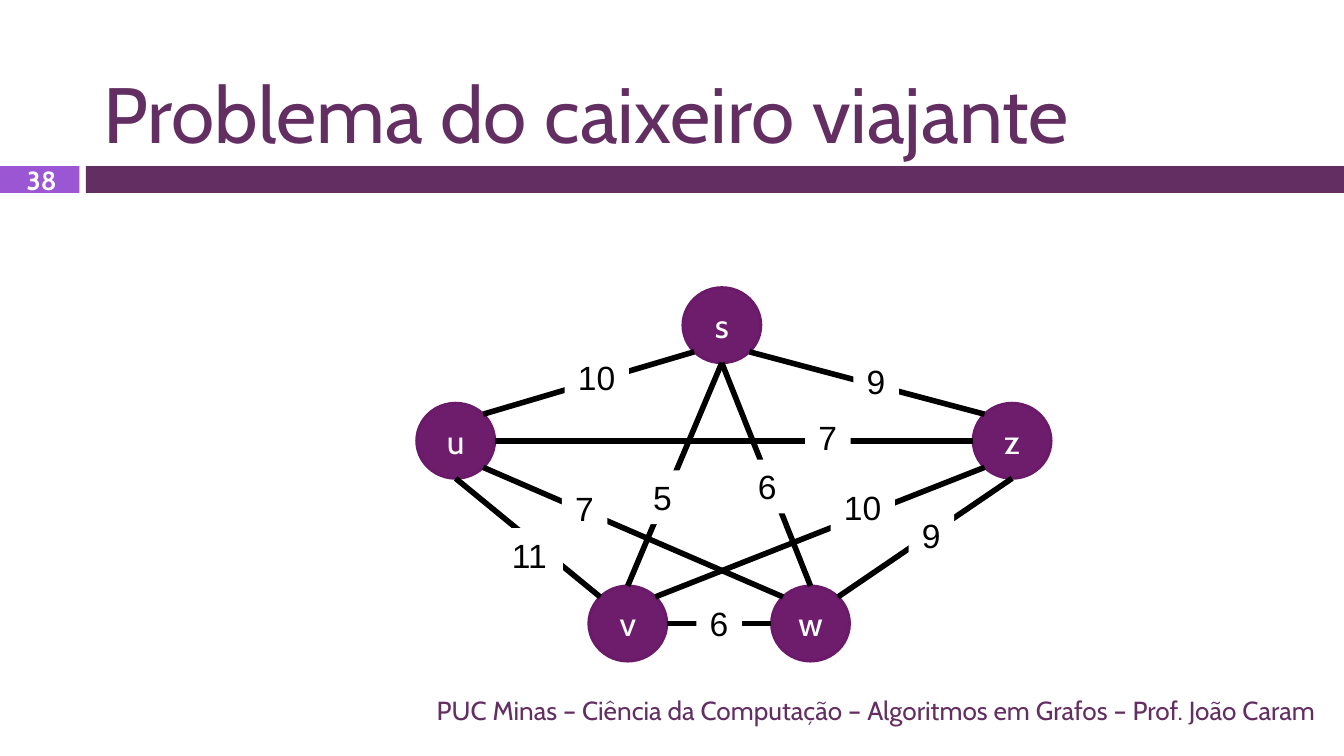
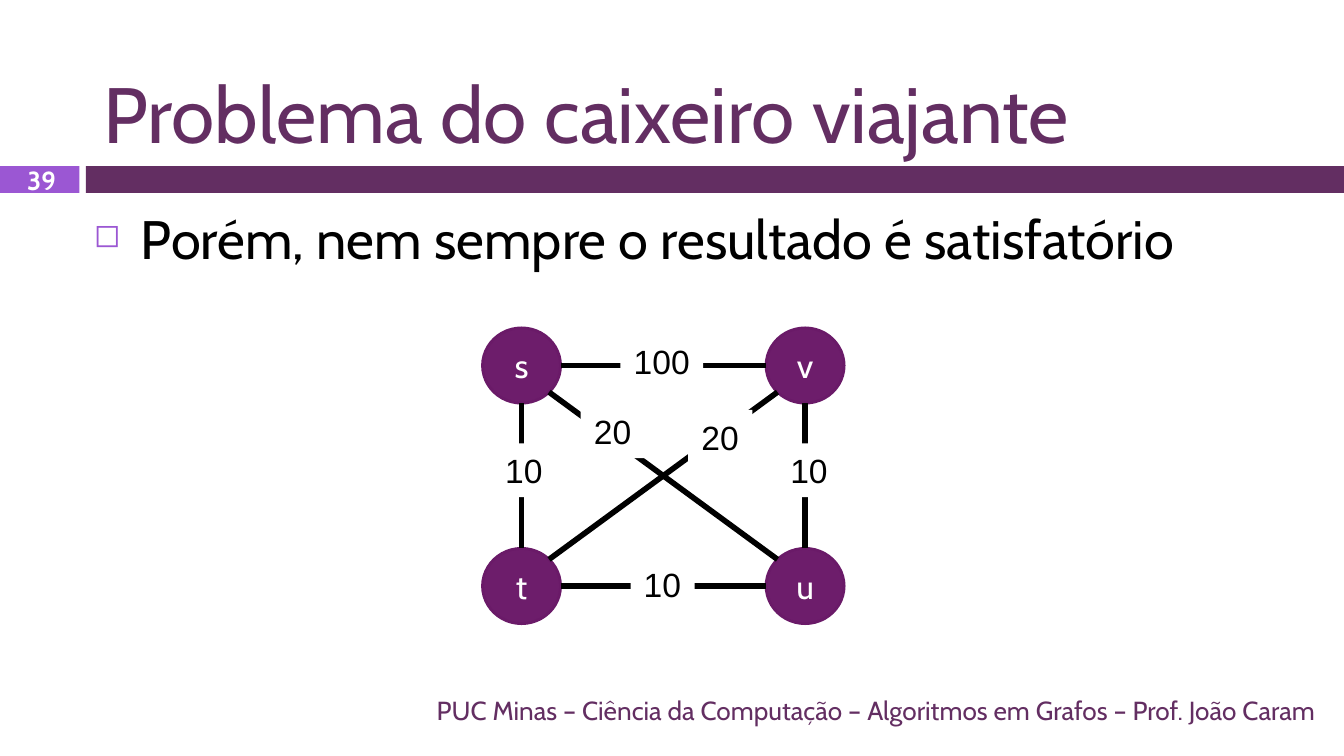
from dataclasses import dataclass
from math import hypot

from lxml import etree
from pptx import Presentation
from pptx.dml.color import RGBColor
from pptx.enum import shapes, text
from pptx.oxml import ns
from pptx.util import Pt


@dataclass(frozen=True)
class Theme:
    plum: str = "632E62"
    violet: str = "9B57D3"
    node: str = "6D1D6B"
    rim: str = "6A1A68"
    black: str = "000000"
    white: str = "FFFFFF"
    font: str = "Cabin"
    plain: str = "Arial"
    title: float = 42
    body: float = 29
    mark: float = 18
    small: float = 14


T = Theme()
PAGE = (0, 0, 720, 405)
NODE_W, NODE_H = 41.8, 40.3
DIGIT_W, PAD, TAG_H = 10, 14.4, 28.8
STEP = {"N": (0, -1), "S": (0, 1), "W": (-1, 0), "E": (1, 0)}
FOOT = "PUC Minas – Ciência da Computação – Algoritmos em Grafos – Prof. João Caram"
ALIGN = text.PP_ALIGN
ANCHOR = text.MSO_ANCHOR
KIND = shapes.MSO_SHAPE


def rgb(color):
    return RGBColor.from_string(color)


def write(shape, words, size=T.mark, color=T.black, font=T.font, bold=False,
          align=ALIGN.LEFT, anchor=ANCHOR.TOP, wrap=True):
    frame = shape.text_frame
    frame.word_wrap = wrap
    frame.vertical_anchor = anchor
    par = frame.paragraphs[0]
    par.alignment = align
    run = par.add_run()
    run.text = words
    run.font.size = Pt(size)
    run.font.name = font
    run.font.bold = bold
    run.font.color.rgb = rgb(color)
    return par


def block(slide, kind, box, fill, line=None):
    shape = slide.shapes.add_shape(kind, *map(Pt, box))
    shape.shadow.inherit = False
    shape.fill.solid()
    shape.fill.fore_color.rgb = rgb(fill)
    if line:
        shape.line.color.rgb = rgb(line)
        shape.line.width = Pt(1.5)
    else:
        shape.line.fill.background()
    return shape


def label(slide, box, words, **form):
    return write(slide.shapes.add_textbox(*map(Pt, box)), words, **form)


def bullet(par, char, color, share, indent):
    props = par._p.get_or_add_pPr()
    props.set("marL", str(Pt(indent)))
    props.set("indent", str(-Pt(indent)))
    tint = etree.SubElement(props, ns.qn("a:buClr"))
    etree.SubElement(tint, ns.qn("a:srgbClr"), val=color)
    etree.SubElement(props, ns.qn("a:buSzPct"), val=str(share * 1000))
    etree.SubElement(props, ns.qn("a:buChar"), char=char)


def frame(slide, box, title, number):
    """Draw the title, band, page number and footer."""
    left, top, width, height = box
    text_x, text_w = left + 48.2, 663.8
    band_y, band_h = top + 89, 14.4
    block(slide, KIND.RECTANGLE, (left + 46, band_y, width - 46, band_h), T.plum)
    block(slide, KIND.RECTANGLE, (left, band_y, 42.5, band_h), T.violet)
    label(slide, (text_x, top + 9.4, text_w, 79.2), title,
          size=T.title, color=T.plum, anchor=ANCHOR.BOTTOM)
    label(slide, (left + 1.4, band_y, 41.8, band_h), str(number), size=T.small,
          color=T.white, bold=True, align=ALIGN.CENTER, anchor=ANCHOR.MIDDLE)
    label(slide, (text_x, top + height - 35.6, text_w, 21.6), FOOT, size=T.small,
          color=T.plum, align=ALIGN.RIGHT, anchor=ANCHOR.MIDDLE)


def body(slide, box, words):
    par = label(slide, box, words, size=T.body)
    par.space_before = Pt(7)
    bullet(par, "◻", T.violet, 60, 25.2)


def port(node, side):
    """Return the point of a node's rim that faces a compass side."""
    dx, dy = (sum(axis) for axis in zip(*(STEP[c] for c in side)))
    norm = hypot(dx, dy)
    x, y = node
    return (x + NODE_W / 2 * (1 + dx / norm), y + NODE_H / 2 * (1 + dy / norm))


def edge(slide, start, end):
    line = slide.shapes.add_connector(
        shapes.MSO_CONNECTOR.STRAIGHT, *map(Pt, start + end))
    line.line.color.rgb = rgb(T.black)
    line.line.width = Pt(3)
    etree.SubElement(line._element.spPr, ns.qn("a:effectLst"))


def tag(slide, x, y, words):
    """Centre an edge's weight on a point."""
    width = PAD + DIGIT_W * len(words)
    box = (x - width / 2, y - TAG_H / 2, width, TAG_H)
    shape = block(slide, KIND.RECTANGLE, box, T.white)
    write(shape, words, font=T.plain, wrap=False)
    shape.text_frame.auto_size = text.MSO_AUTO_SIZE.SHAPE_TO_FIT_TEXT


def graph(slide, origin, nodes, edges):
    """Draw nodes, then edges, then weights, all offset from the origin."""
    left, top = origin
    spots = {name: (left + x, top + y) for name, (x, y) in nodes.items()}
    for name, spot in spots.items():
        shape = block(slide, KIND.OVAL, (*spot, NODE_W, NODE_H), T.node, T.rim)
        write(shape, name, color=T.white, align=ALIGN.CENTER, anchor=ANCHOR.MIDDLE)
    for ends, *_ in edges:
        a, a_side, b, b_side = ends.split()
        edge(slide, port(spots[a], a_side), port(spots[b], b_side))
    for _, weight, x, y in edges:
        tag(slide, left + x, top + y, weight)


MID_Y, LOW_Y = 61.9, 159.8
STAR_NODES = {"w": (190.1, LOW_Y), "z": (298.1, MID_Y), "u": (0, MID_Y),
              "s": (142.6, 0), "v": (92.2, LOW_Y)}
STAR_EDGES = [
    ("u NE s SW", "10", 96.5, 48.2),
    ("s SE z NW", "9", 246.2, 50.4),
    ("u S v NW", "11", 61.2, 143.3),
    ("v E w W", "6", 162, 180),
    ("w NE z S", "9", 275.8, 132.5),
    ("w NW u SE", "7", 90, 118.1),
    ("v NE z SW", "10", 239, 117.4),
    ("z W u E", "7", 220.3, 79.9),
    ("s S w N", "6", 187.9, 106.6),
    ("s S v N", "5", 131.8, 112.3),
]

COL, ROW = 151.9, 118.1
SQUARE_NODES = {"u": (COL, ROW), "v": (COL, 0), "s": (0, 0), "t": (0, ROW)}
SQUARE_EDGES = [
    ("s S t N", "10", 22.3, 76.3),
    ("t E u W", "10", 96.5, 137.5),
    ("u N v S", "10", 175, 76.3),
    ("u NW s SE", "20", 69.8, 55.4),
    ("t NE v SW", "20", 127.4, 58.3),
    ("v W s E", "100", 96.1, 18),
]


def main():
    deck = Presentation()
    deck.slide_width, deck.slide_height = Pt(PAGE[2]), Pt(PAGE[3])
    blank = deck.slide_layouts[6]
    title = "Problema do caixeiro viajante"

    star = deck.slides.add_slide(blank)
    frame(star, PAGE, title, 38)
    graph(star, (223.2, 154.1), STAR_NODES, STAR_EDGES)

    square = deck.slides.add_slide(blank)
    frame(square, PAGE, title, 39)
    body(square, (43.2, 106.6, 663.8, 257.8),
         "Porém, nem sempre o resultado é satisfatório")
    graph(square, (258.5, 175.7), SQUARE_NODES, SQUARE_EDGES)

    deck.save("out.pptx")


if __name__ == "__main__":
    main()
